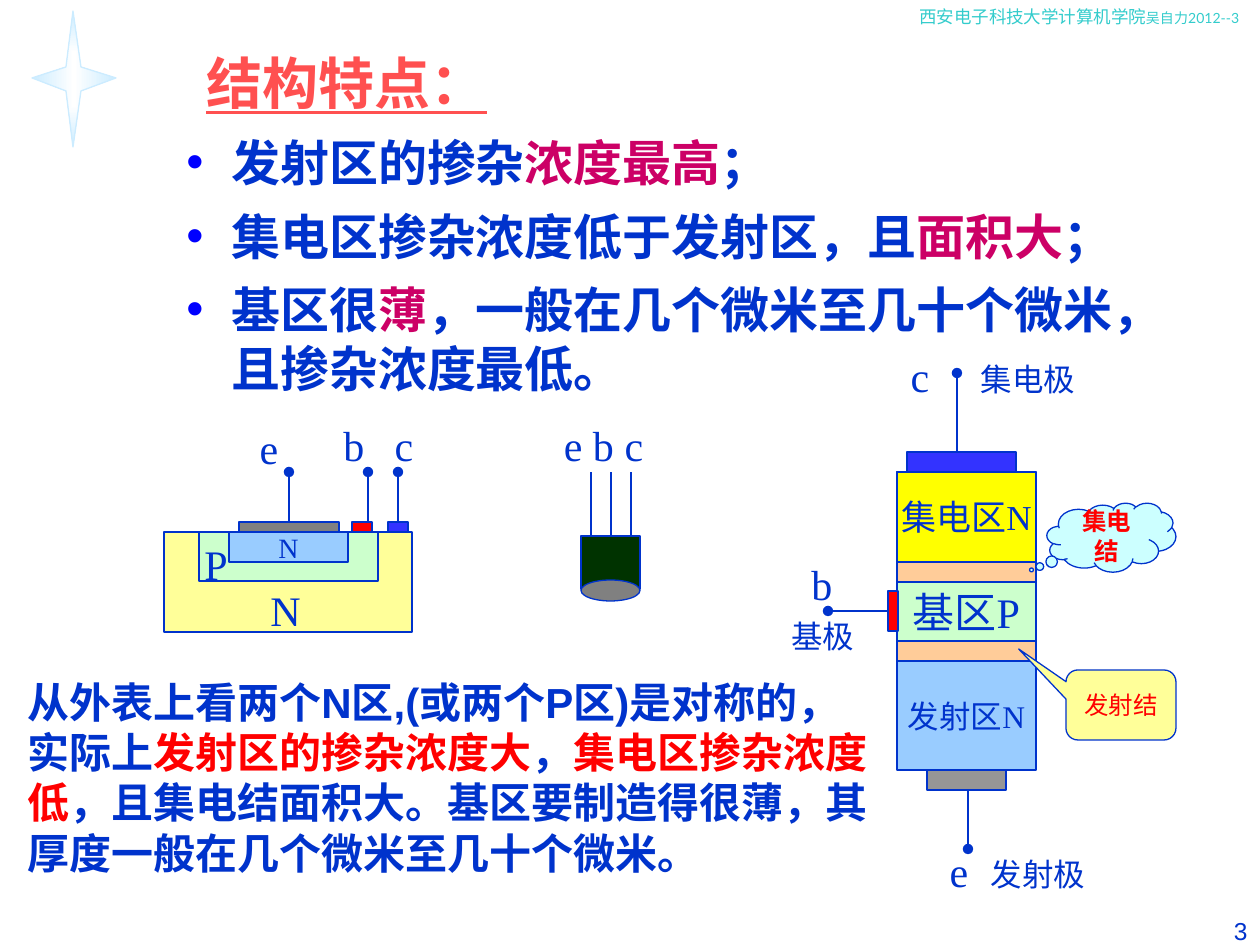
import pptx
import pptx.util
import pptx.dml.color
import pptx.enum.shapes
import pptx.enum.text
import pptx.oxml.ns
from lxml import etree

SCALE = 914400 / 126
BLUE, RED, MAGENTA = "0033CC", "FF0000", "CC0066"
SERIF, SANS = "Times New Roman", "Arial"
SHAPE = pptx.enum.shapes.MSO_SHAPE
ALIGN = {"l": pptx.enum.text.PP_ALIGN.LEFT,
         "c": pptx.enum.text.PP_ALIGN.CENTER,
         "r": pptx.enum.text.PP_ALIGN.RIGHT}


def emu(*lengths):
    return [round(n * SCALE) for n in lengths]


def rgb(color):
    return pptx.dml.color.RGBColor.from_string(color)


def child(parent, tag, **attributes):
    return etree.SubElement(parent, pptx.oxml.ns.qn(tag), **attributes)


def write(tf, text, size=24, font=SERIF, color=BLUE, bold=False, underline=False,
          align="c", wrap=False, middle=False, indent=None, bullet=None):
    anchor = pptx.enum.text.MSO_ANCHOR
    tf.word_wrap = wrap
    tf.vertical_anchor = anchor.MIDDLE if middle else anchor.TOP
    p = tf.paragraphs[0]
    p.alignment = ALIGN[align]
    pPr = p._p.get_or_add_pPr()
    if indent:
        left, first = emu(*indent)
        pPr.set("marL", str(left))
        pPr.set("indent", str(first))
    if bullet:
        child(child(pPr, "a:buClr"), "a:srgbClr", val=bullet)
        child(pPr, "a:buFont", typeface=font)
        child(pPr, "a:buChar", char="•")
    for part in [text] if isinstance(text, str) else text:
        words, run_color, run_size = (part, color, size) if isinstance(part, str) else part
        r = p.add_run()
        r.text = words
        r.font.name = font
        r.font.size = pptx.util.Pt(run_size)
        r.font.bold = bold
        r.font.underline = underline
        r.font.color.rgb = rgb(run_color)


class Canvas:
    def __init__(self, slide):
        self.slide = slide
        self.shapes = slide.shapes

    def text(self, x, y, w, h, text, **style):
        sp = self.shapes.add_textbox(*emu(x, y, w, h))
        write(sp.text_frame, text, **style)

    def shape(self, x, y, w, h, fill, kind=SHAPE.RECTANGLE, weight=0.75,
              adjust=(), text=None, **style):
        sp = self.shapes.add_shape(kind, *emu(x, y, w, h))
        sp.shadow.inherit = False
        sp.fill.solid()
        sp.fill.fore_color.rgb = rgb(fill)
        sp.line.color.rgb = rgb(BLUE)
        sp.line.width = pptx.util.Pt(weight)
        for i, value in enumerate(adjust):
            sp.adjustments[i] = value
        if text:
            write(sp.text_frame, text, middle=True, **style)

    def lead(self, x1, y1, x2, y2, dot=True):
        line = self.shapes.add_connector(
            pptx.enum.shapes.MSO_CONNECTOR.STRAIGHT, *emu(x1, y1, x2, y2))
        line.line.color.rgb = rgb(BLUE)
        line.line.width = pptx.util.Pt(0.75)
        if dot:
            child(line.line._get_or_add_ln(), "a:tailEnd", type="oval")
        child(line._element.spPr, "a:effectLst")

    def star(self, points, inner, outer):
        builder = self.shapes.build_freeform(*points[0], scale=SCALE)
        builder.add_line_segments(points[1:], close=True)
        sp = builder.convert_to_shape()
        sp.shadow.inherit = False
        sp.fill.gradient()
        for stop, color in zip(sp.fill.gradient_stops, (inner, outer)):
            stop.color.rgb = rgb(color)
        grad = sp._element.spPr.find(pptx.oxml.ns.qn("a:gradFill"))
        grad.remove(grad.find(pptx.oxml.ns.qn("a:lin")))
        center = child(grad, "a:path", path="rect")
        child(center, "a:fillToRect", l="50000", t="50000", r="50000", b="50000")
        sp.line.color.rgb = rgb(outer)
        sp.line.width = pptx.util.Pt(0)


def draw_text(s):
    s.text(907, 0, 353, 34, ["西安电子科技大学计算机学院", ("吴自力2012--3", "33CCCC", 8)],
           size=10, font="Lato", color="33CCCC", align="l", wrap=True)
    s.text(1207, 910, 53, 35, "3", size=14, font=SANS, align="r", wrap=True)
    s.text(168, 42, 411, 79, "\t结构特点：", size=32, font=SANS, color="FF5050",
           bold=True, underline=True, align="l", wrap=True, indent=(26, -26))
    features = [
        ["发射区的掺杂", ("浓度最高", MAGENTA, 28), "；"],
        ["集电区掺杂浓度低于发射区，且", ("面积大", MAGENTA, 28), "；"],
        ["基区很", ("薄", MAGENTA, 28), "，一般在几个微米至几十个微米，且掺杂浓度最低。"],
    ]
    for i, feature in enumerate(features):
        s.text(158, 126 + round(73.5 * i), 1061, 131 if i == 2 else 72, feature, size=28,
               font=SANS, bold=True, align="l", wrap=True, indent=(61, -45), bullet="0000FF")
    s.star([(32, 78), (66, 67), (73, 11), (81, 67), (116, 78), (81, 91), (73, 147), (66, 91)],
           "FFFFFF", "CCECFF")


def draw_layers(s):
    x, w = 897, 139
    s.shape(x, 472, w, 297, "FFCC99")
    s.shape(x, 472, w, 90, "FFFF00", weight=1.5, text="集电区N", size=20)
    s.shape(x, 661, w, 109, "99CCFF", weight=1.5, text="发射区N", size=18)
    s.shape(x, 582, w, 59, "CCFFCC", text="基区P")
    s.shape(907, 452, 109, 20, "3333FF")
    s.shape(888, 591, 10, 40, RED)
    s.shape(927, 770, 79, 20, "969696")
    s.lead(968, 790, 968, 849)
    s.lead(888, 611, 828, 611)
    s.lead(957, 452, 957, 373)
    for left, top, letter in [(937, 839, "e"), (799, 552, "b"), (898, 344, "c")]:
        s.text(left, top, 44, 63, letter)
    s.shape(1047, 503, 129, 69, "CCFFFF", SHAPE.CLOUD_CALLOUT, adjust=(-0.62, 0.47),
            text="集电结", size=14, color=RED, bold=True, wrap=True)
    s.shape(1066, 670, 110, 70, "FFFF99", SHAPE.ROUNDED_RECTANGULAR_CALLOUT,
            adjust=(-0.93, -0.8, 0.17), text="发射结", size=14, color=RED, wrap=True)
    for left, top, width, name in [(968, 354, 120, "集电极"), (978, 849, 120, "发射极"),
                                   (779, 611, 88, "基极")]:
        s.text(left, top, width, 50, name, size=18)


def draw_section(s):
    s.shape(164, 532, 248, 100, "FFFF99")
    s.shape(199, 532, 179, 49, "CCFFCC")
    s.shape(229, 532, 119, 30, "99CCFF", text="N", size=16)
    for left, width, fill in [(239, 100, "808080"), (352, 20, RED), (388, 20, "3333FF")]:
        s.shape(left, 522, width, 10, fill)
    for x in (289, 368, 398):
        s.lead(x, 522, x, 472)
    for left, top, letter in [(192, 532, "P"), (258, 578, "N"), (247, 416, "e"),
                              (331, 413, "b"), (382, 413, "c")]:
        s.text(left, top, 44, 63, letter)


def draw_package(s):
    s.shape(581, 536, 59, 53, "003300")
    for x in (591, 611, 631):
        s.lead(x, 536, x, 472, dot=False)
    s.shape(581, 580, 59, 21, "808080", SHAPE.OVAL)
    s.text(551, 413, 105, 63, "e b c")


def draw_summary(s):
    s.text(15, 670, 873, 214,
           ["从外表上看两个N区,(或两个P区)是对称的，实际上", ("发射区的掺杂浓度大", RED, 24),
            "，", ("集电区掺杂浓度低", RED, 24),
            "，且集电结面积大。基区要制造得很薄，其厚度一般在几个微米至几十个微米。"],
           font=SANS, bold=True, align="l", wrap=True)


def main():
    prs = pptx.Presentation()
    prs.slide_width, prs.slide_height = emu(1260, 945)
    s = Canvas(prs.slides.add_slide(prs.slide_layouts[6]))
    for draw in (draw_text, draw_layers, draw_section, draw_package, draw_summary):
        draw(s)
    prs.save("out.pptx")


if __name__ == "__main__":
    main()
